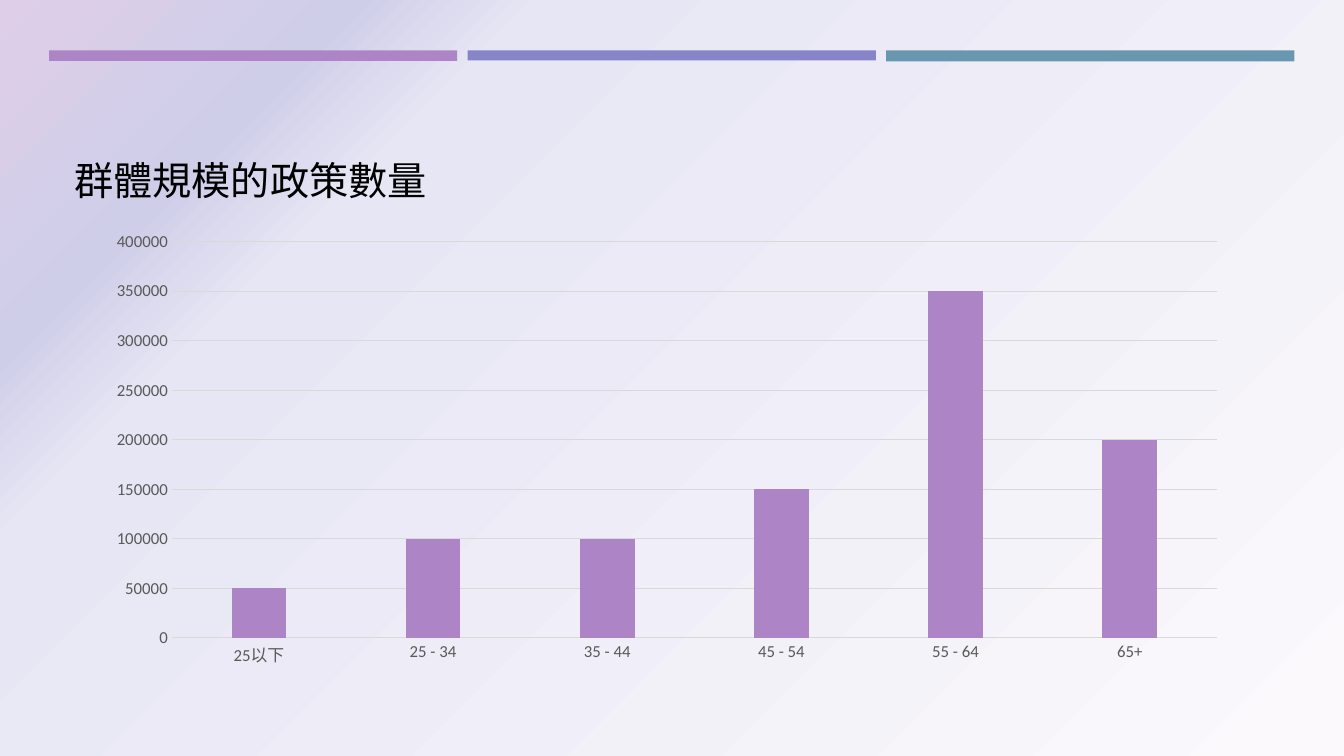
from lxml.etree import fromstring
from pptx import Presentation
from pptx.chart.data import CategoryChartData
from pptx.dml.color import RGBColor
from pptx.enum.chart import XL_CHART_TYPE as Kind, XL_TICK_MARK as Tick
from pptx.enum.shapes import MSO_SHAPE as Shape
from pptx.enum.text import MSO_ANCHOR as Anchor
from pptx.oxml.ns import nsdecls
from pptx.util import Pt

TITLE = "群體規模的政策數量"
GROUPS = ["25以下", "25 - 34", "35 - 44", "45 - 54", "55 - 64", "65+"]
COUNTS = [50000, 100000, 100000, 150000, 350000, 200000]
FONT = "Calibri"

PURPLE = RGBColor(0xAD, 0x84, 0xC6)
INDIGO = RGBColor(0x87, 0x84, 0xC7)
TEAL = RGBColor(0x69, 0x97, 0xAF)
BLACK = RGBColor(0, 0, 0)
GRAY = RGBColor(0x59, 0x59, 0x59)
PALE = RGBColor(0xD9, 0xD9, 0xD9)

# Stops run from the bottom right corner to the top left one
STOPS = [
    (0, RGBColor(0xFB, 0xF9, 0xFC)),
    (74, RGBColor(0xE7, 0xE6, 0xF4)),
    (83, RGBColor(0xCF, 0xCE, 0xE9)),
    (100, RGBColor(0xDE, 0xCE, 0xE8)),
]
# Colour and height of each strip, left to right
STRIPS = [(PURPLE, 7.5), (INDIGO, 7.2), (TEAL, 7.9)]
LEFT, TOP, WIDTH, STEP = 35, 36, 291.6, 299


def set_back(slide):
    stops = "".join(
        f'<a:gs pos="{pos * 1000}"><a:srgbClr val="{color}"/></a:gs>'
        for pos, color in STOPS)
    back = fromstring(
        f'<p:bg {nsdecls("p", "a")}><p:bgPr><a:gradFill rotWithShape="1">'
        f'<a:gsLst>{stops}</a:gsLst><a:path path="circle">'
        '<a:fillToRect l="100000" t="100000"/></a:path></a:gradFill>'
        '<a:effectLst/></p:bgPr></p:bg>')
    slide.element.cSld.insert(0, back)


def add_strips(slide):
    for i, (color, height) in enumerate(STRIPS):
        strip = slide.shapes.add_shape(
            Shape.RECTANGLE, Pt(LEFT + i * STEP), Pt(TOP), Pt(WIDTH), Pt(height))
        strip.shadow.inherit = False
        strip.fill.solid()
        strip.fill.fore_color.rgb = color
        strip.line.fill.background()


def set_font(font, size, color):
    font.name = FONT
    font.size = Pt(size)
    font.color.rgb = color


def set_line(line):
    line.color.rgb = PALE
    line.width = Pt(0.75)


def add_title(slide):
    box = slide.shapes.add_textbox(Pt(46), Pt(55.4), Pt(868), Pt(93.6))
    frame = box.text_frame
    frame.word_wrap = True
    frame.vertical_anchor = Anchor.BOTTOM
    run = frame.paragraphs[0].add_run()
    run.text = TITLE
    set_font(run.font, 28, BLACK)


def add_chart(slide):
    data = CategoryChartData(number_format="General")
    data.categories = GROUPS
    data.add_series("Series 1", COUNTS)
    chart = slide.shapes.add_chart(
        Kind.COLUMN_CLUSTERED, Pt(67), Pt(159), Pt(818.6), Pt(324), data).chart
    chart.has_legend = False
    chart.has_title = False
    set_font(chart.font, 10, BLACK)

    plot = chart.plots[0]
    plot.vary_by_categories = False
    plot.gap_width = 219
    plot.overlap = -27
    fill = plot.series[0].format.fill
    fill.solid()
    fill.fore_color.rgb = PURPLE

    for axis in (chart.category_axis, chart.value_axis):
        axis.major_tick_mark = axis.minor_tick_mark = Tick.NONE
        set_font(axis.tick_labels.font, 12, GRAY)
    set_line(chart.category_axis.format.line)
    scale = chart.value_axis
    scale.format.line.fill.background()
    scale.minimum_scale, scale.maximum_scale = 0, 400000
    scale.major_unit = 50000
    set_line(scale.major_gridlines.format.line)


def main():
    deck = Presentation()
    deck.slide_width, deck.slide_height = Pt(960), Pt(540)
    slide = deck.slides.add_slide(deck.slide_layouts[6])
    set_back(slide)
    add_strips(slide)
    add_title(slide)
    add_chart(slide)
    deck.save("out.pptx")


if __name__ == "__main__":
    main()
